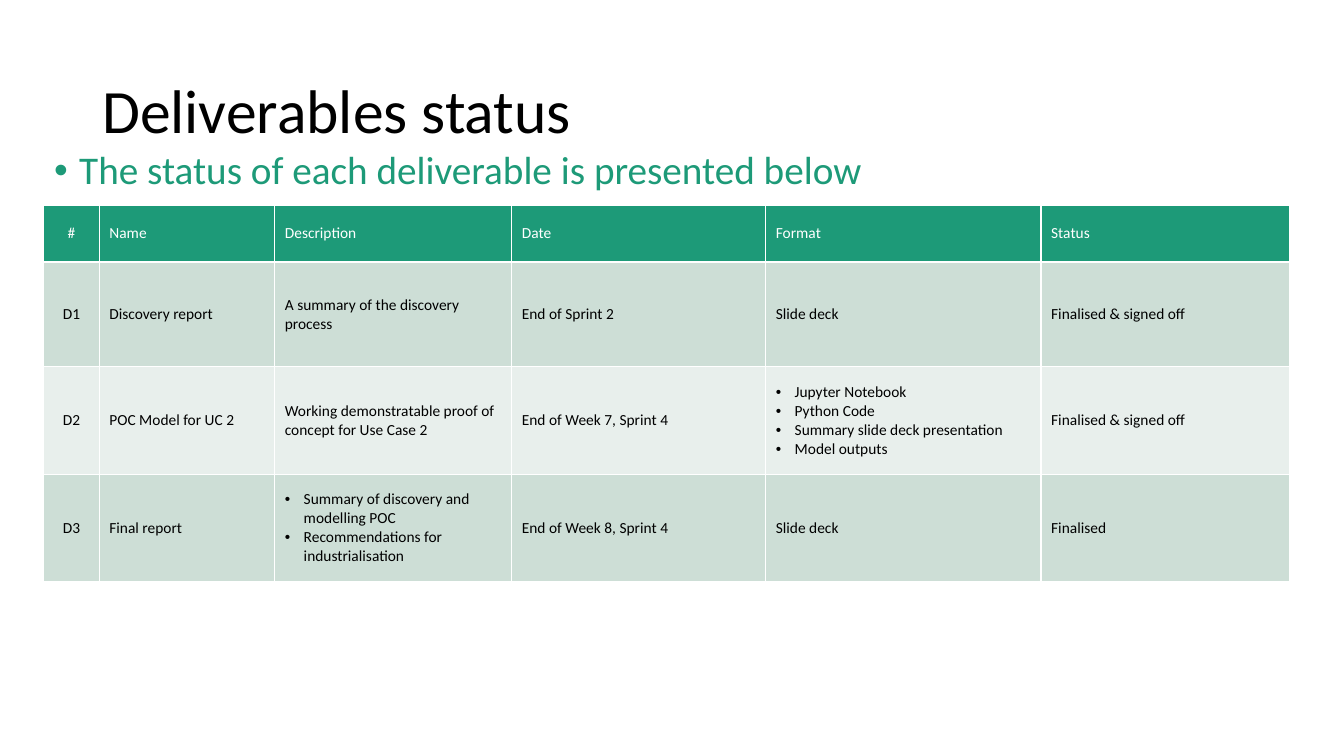
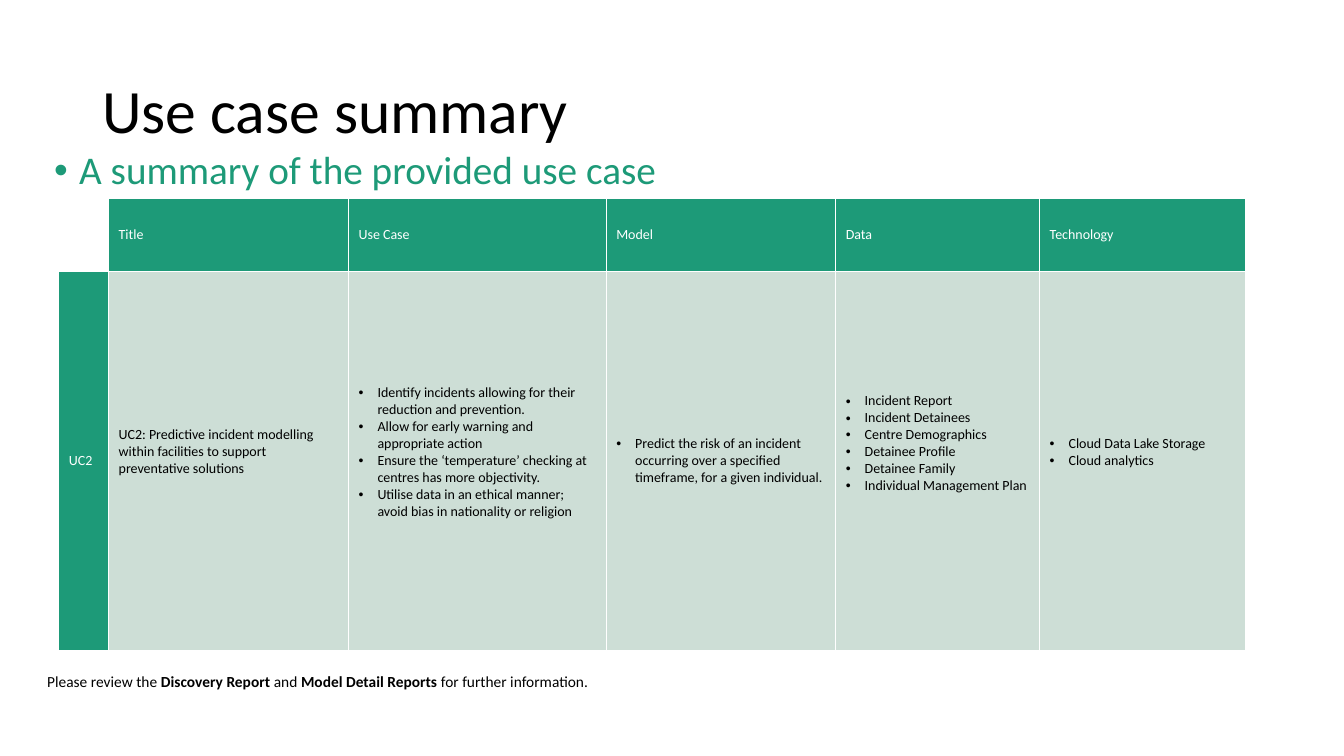
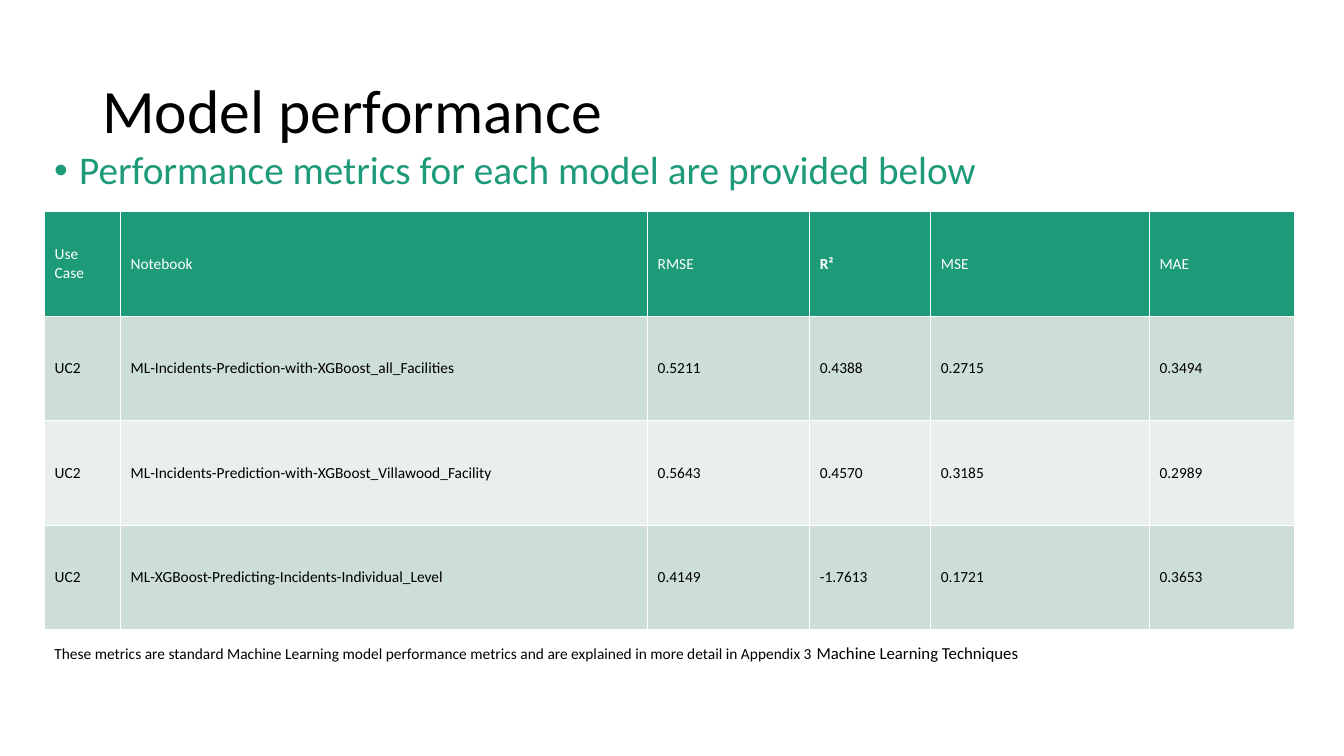
from lxml import etree
from pptx import Presentation
from pptx.dml.color import RGBColor
from pptx.enum import text
from pptx.oxml import ns
from pptx.util import Pt

FONT = "Calibri"
BLACK = RGBColor(0x00, 0x00, 0x00)
WHITE = RGBColor(0xFF, 0xFF, 0xFF)
GREEN = RGBColor(0x1D, 0x9A, 0x78)
BANDS = (RGBColor(0xCD, 0xDE, 0xD6), RGBColor(0xE8, 0xEF, 0xEC))

CELL_MARGIN = 3.6
CELL_INDENT = 13.5


# Text
def format_runs(paragraph, size, color):
    for run in paragraph.runs:
        run.font.name = FONT
        run.font.size = Pt(size)
        run.font.color.rgb = color
        run.font.bold = bool(run.font.bold)


def add_bullet(paragraph, indent):
    properties = paragraph._p.get_or_add_pPr()
    properties.set("marL", str(Pt(indent)))
    properties.set("indent", str(-Pt(indent)))
    etree.SubElement(properties, ns.qn("a:buFont"), typeface="Arial")
    etree.SubElement(properties, ns.qn("a:buChar"), char="•")


def add_text_box(slide, left, top, width, height):
    frame = slide.shapes.add_textbox(Pt(left), Pt(top), Pt(width), Pt(height)).text_frame
    frame.word_wrap = True
    return frame


def add_title_slide(presentation, title, subtitle):
    """Add a slide with the shared title and green bulleted subtitle."""
    slide = presentation.slides.add_slide(presentation.slide_layouts[6])

    frame = add_text_box(slide, 66, 28.8, 828, 104.4)
    frame.vertical_anchor = text.MSO_ANCHOR.MIDDLE
    frame.text = title
    frame.paragraphs[0].line_spacing = 0.9
    format_runs(frame.paragraphs[0], 44, BLACK)

    frame = add_text_box(slide, 31.5, 104.4, 896, 24.5)
    frame.auto_size = text.MSO_AUTO_SIZE.SHAPE_TO_FIT_TEXT
    frame.text = subtitle
    paragraph = frame.paragraphs[0]
    paragraph.line_spacing = 0.9
    add_bullet(paragraph, 18)
    format_runs(paragraph, 28, GREEN)
    return slide


def add_note(slide, left, top, width, parts):
    """Add a line of text made of (text, size, bold) parts."""
    frame = add_text_box(slide, left, top, width, 21)
    for content, size, bold in parts:
        run = frame.paragraphs[0].add_run()
        run.text = content
        run.font.name = FONT
        run.font.size = Pt(size)
        run.font.bold = bold
        run.font.color.rgb = BLACK


# Tables
def set_borders(cell):
    properties = cell._tc.get_or_add_tcPr()
    for position, side in enumerate(("lnL", "lnR", "lnT", "lnB")):
        line = etree.Element(ns.qn(f"a:{side}"), w=str(Pt(1)))
        fill = etree.SubElement(line, ns.qn("a:solidFill"))
        etree.SubElement(fill, ns.qn("a:srgbClr"), val=str(WHITE))
        properties.insert(position, line)


def fill_cell(cell, content, size, background, color):
    """Write a string as plain text, or a list as bullets."""
    bulleted = isinstance(content, list)
    cell.text = "\n".join(content) if bulleted else content
    cell.vertical_anchor = text.MSO_ANCHOR.MIDDLE
    for paragraph in cell.text_frame.paragraphs:
        if bulleted:
            add_bullet(paragraph, CELL_INDENT)
        format_runs(paragraph, size, color)
    if content:
        cell.fill.solid()
        cell.fill.fore_color.rgb = background
    else:
        cell.fill.background()
    set_borders(cell)


def add_table(slide, left, top, widths, heights, rows, size, header_column=False):
    table = slide.shapes.add_table(
        len(rows), len(widths), Pt(left), Pt(top), Pt(sum(widths)), Pt(sum(heights))
    ).table
    for column, width in zip(table.columns, widths):
        column.width = Pt(width)
    for row, height in zip(table.rows, heights):
        row.height = Pt(height)
    for r, row in enumerate(rows):
        for c, content in enumerate(row):
            is_header = r == 0 or (header_column and c == 0)
            background = GREEN if is_header else BANDS[(r - 1) % 2]
            color = WHITE if is_header else BLACK
            fill_cell(table.cell(r, c), content, size, background, color)
    return table


# Slides
def add_deliverables(presentation):
    slide = add_title_slide(presentation, "Deliverables status",
                            "The status of each deliverable is presented below")
    rows = [
        ["#", "Name", "Description", "Date", "Format", "Status"],
        ["D1", "Discovery report", "A summary of the discovery process",
         "End of Sprint 2", "Slide deck", "Finalised & signed off"],
        ["D2", "POC Model for UC 2", "Working demonstratable proof of concept for Use Case 2",
         "End of Week 7, Sprint 4",
         ["Jupyter Notebook", "Python Code", "Summary slide deck presentation", "Model outputs"],
         "Finalised & signed off"],
        ["D3", "Final report",
         ["Summary of discovery and modelling POC", "Recommendations for industrialisation"],
         "End of Week 8, Sprint 4", "Slide deck", "Finalised"],
    ]
    table = add_table(slide, 31.2, 146.4, [39.7, 125.4, 169.3, 181.4, 196.7, 177.2],
                      [40.8, 74.8, 76.8, 76.8], rows, 11)
    for row in range(len(rows)):
        table.cell(row, 0).text_frame.paragraphs[0].alignment = text.PP_ALIGN.CENTER


def add_use_case(presentation):
    slide = add_title_slide(presentation, "Use case summary",
                            "A summary of the provided use case")
    rows = [
        ["", "Title", "Use Case", "Model", "Data", "Technology"],
        ["UC2",
         "UC2: Predictive incident modelling within facilities to support preventative solutions",
         ["Identify incidents allowing for their reduction and prevention.",
          "Allow for early warning and appropriate action",
          "Ensure the ‘temperature’ checking at centres has more objectivity.",
          "Utilise data in an ethical manner; avoid bias in nationality or religion"],
         ["Predict the risk of an incident occurring over a specified timeframe, "
          "for a given individual."],
         ["Incident Report", "Incident Detainees", "Centre Demographics",
          "Detainee Profile", "Detainee Family", "Individual Management Plan"],
         ["Cloud Data Lake Storage", "Cloud analytics"]],
    ]
    table = add_table(slide, 42, 141.8, [35.6, 171.4, 184.1, 163.9, 145.7, 147.3],
                      [51.9, 270.9], rows, 10, header_column=True)
    # Raise some texts by whole lines above the middle of the row
    line_height = 12.2
    for column, lines in {1: 1, 2: 1, 4: 2, 5: 1}.items():
        table.cell(1, column).margin_bottom = Pt(CELL_MARGIN + lines * line_height)
    add_note(slide, 26.6, 476.6, 862, [
        ("Please review the ", 11, False),
        ("Discovery Report ", 11, True),
        ("and ", 11, False),
        ("Model Detail Reports ", 11, True),
        ("for further information.", 11, False),
    ])


def add_performance(presentation):
    slide = add_title_slide(presentation, "Model performance",
                            "Performance metrics for each model are provided below")
    rows = [
        ["Use Case", "Notebook", "RMSE", "R²", "MSE", "MAE"],
        ["UC2", "ML-Incidents-Prediction-with-XGBoost_all_Facilities",
         "0.5211", "0.4388", "0.2715", "0.3494"],
        ["UC2", "ML-Incidents-Prediction-with-XGBoost_Villawood_Facility",
         "0.5643", "0.4570", "0.3185", "0.2989"],
        ["UC2", "ML-XGBoost-Predicting-Incidents-Individual_Level",
         "0.4149", "-1.7613", "0.1721", "0.3653"],
    ]
    table = add_table(slide, 31.9, 151.2, [54.2, 376.5, 115.8, 86.5, 156.2, 103.6],
                      [74.7] * len(rows), rows, 11)
    table.cell(0, 3).text_frame.paragraphs[0].runs[0].font.bold = True
    add_note(slide, 31.7, 455.8, 785, [
        ("These metrics are standard Machine Learning model performance metrics "
         "and are explained in more detail in Appendix 3 ", 11, False),
        ("Machine Learning Techniques", 12, False),
    ])


def main():
    presentation = Presentation()
    presentation.slide_width = Pt(960)
    presentation.slide_height = Pt(540)
    add_deliverables(presentation)
    add_use_case(presentation)
    add_performance(presentation)
    presentation.save("out.pptx")


if __name__ == "__main__":
    main()
